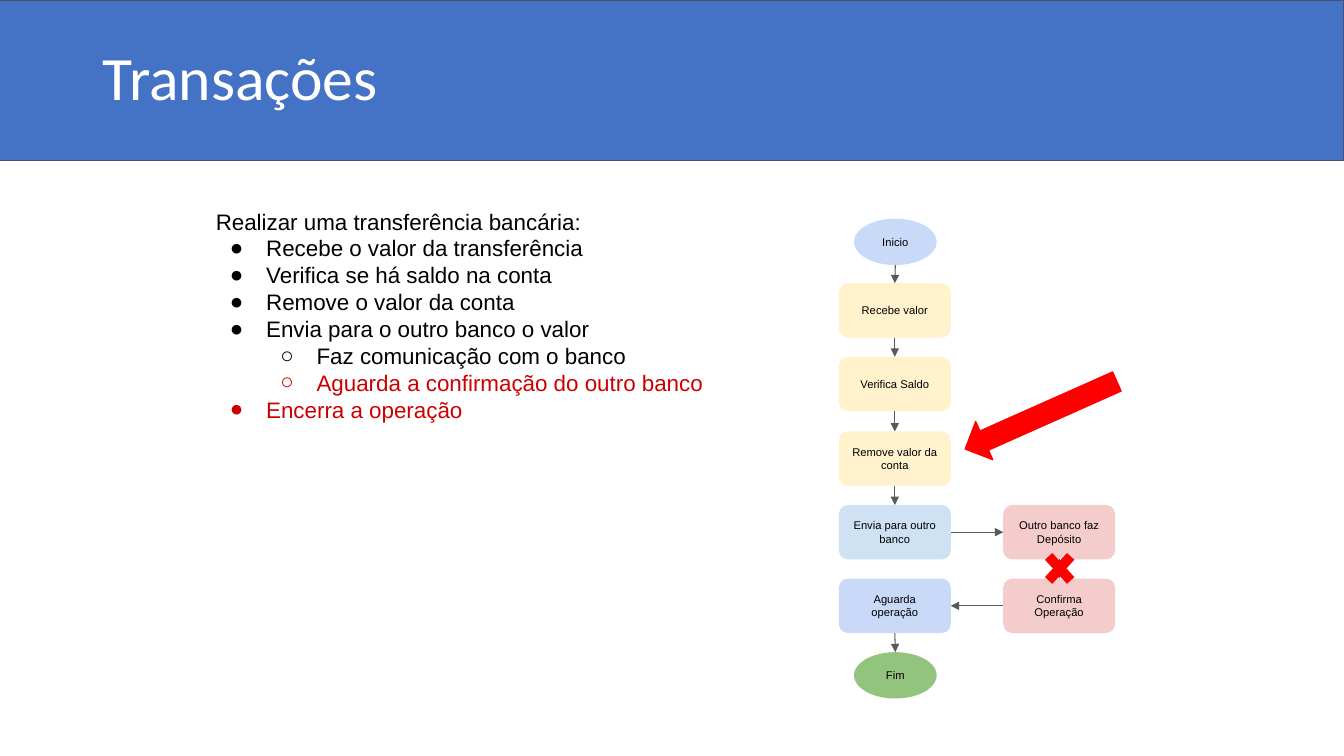
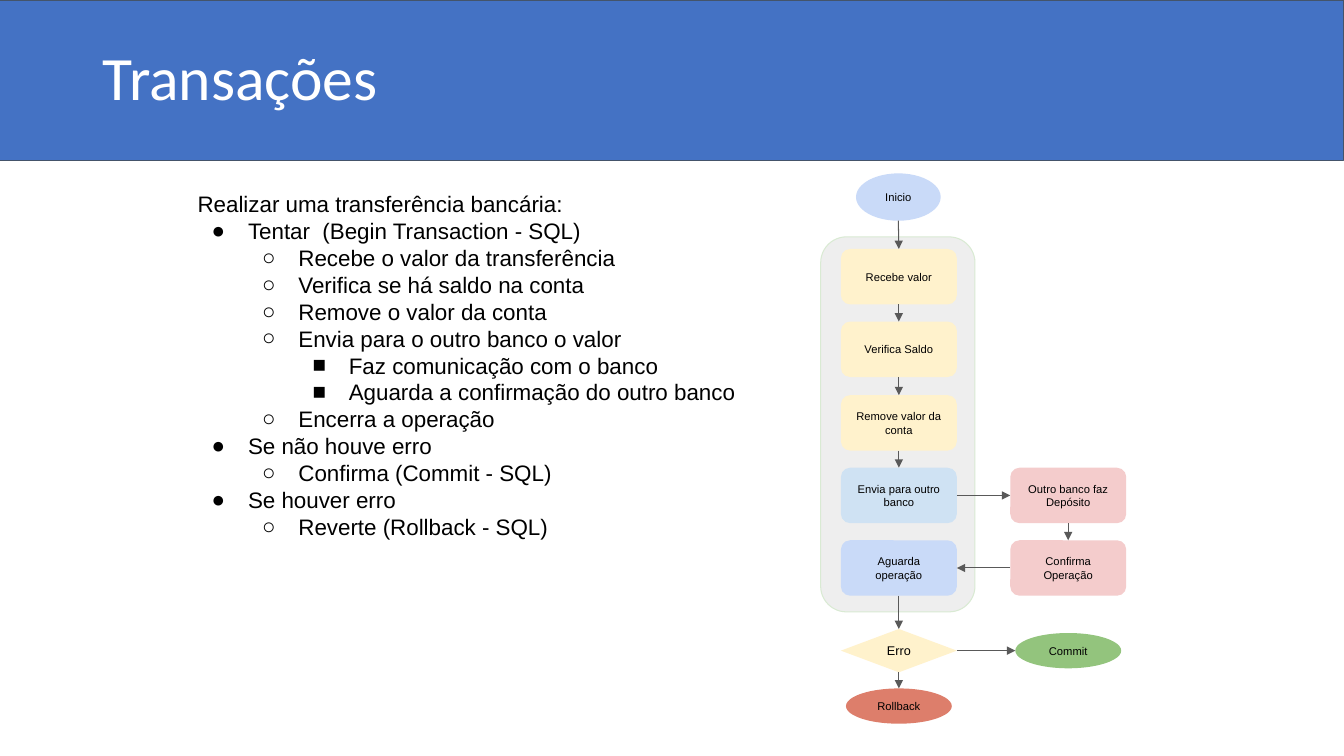
from dataclasses import dataclass

from lxml import etree
from pptx import Presentation
from pptx.dml.color import RGBColor
from pptx.enum.shapes import MSO_CONNECTOR, MSO_SHAPE
from pptx.enum.text import MSO_ANCHOR, MSO_AUTO_SIZE, PP_ALIGN
from pptx.oxml.ns import qn
from pptx.util import Pt

RECT = MSO_SHAPE.RECTANGLE
ROUND = MSO_SHAPE.ROUNDED_RECTANGLE
OVAL = MSO_SHAPE.OVAL
RHOMB = MSO_SHAPE.DIAMOND
CROSS = MSO_SHAPE.MATH_MULTIPLY
ARROW = MSO_SHAPE.LEFT_ARROW
STRAIGHT = MSO_CONNECTOR.STRAIGHT
MIDDLE, TOP = MSO_ANCHOR.MIDDLE, MSO_ANCHOR.TOP
LEFT, CENTER = PP_ALIGN.LEFT, PP_ALIGN.CENTER
FIXED = MSO_AUTO_SIZE.NONE

SCALE = 9144
SITES = [(0.5, 0), (0, 0.5), (0.5, 1), (1, 0.5)]
WAYS = {"down": (2, 0), "right": (3, 1), "left": (1, 3)}
MARKS = ["●", "○", "■"]


@dataclass(frozen=True)
class Theme:
    band: str = "4472C4"
    edge: str = "44546A"
    white: str = "FFFFFF"
    black: str = "000000"
    wire: str = "595959"
    alert: str = "CC0000"
    red: str = "FF0000"
    blue: str = "C9DAF8"
    sky: str = "CFE2F3"
    cream: str = "FFF2CC"
    pink: str = "F4CCCC"
    green: str = "93C47D"
    coral: str = "DD7E6B"
    gray: str = "EEEEEE"
    mint: str = "D9EAD3"
    head: str = "Calibri"
    text: str = "Arial"
    large: int = 44
    medium: int = 16
    label: int = 9
    small: int = 8
    line: float = 0.75


def px(count):
    return round(count * SCALE)


class Deck:
    """Holds the theme and the current slide, and draws each kind of element."""

    def __init__(self, theme):
        self.theme = theme
        self.show = Presentation()
        self.show.slide_width, self.show.slide_height = px(1333), px(750)
        self.layout = self.show.slide_layouts[1]
        self.slide = None

    def place(self, shape, area):
        shape.left, shape.top, shape.width, shape.height = map(px, area)

    def frame(self, shape, anchor, side, edge):
        frame = shape.text_frame
        frame.word_wrap = True
        frame.auto_size = FIXED
        frame.vertical_anchor = anchor
        frame.margin_left = frame.margin_right = px(side)
        frame.margin_top = frame.margin_bottom = px(edge)
        return frame

    def style(self, part, face, size, color, align):
        part.alignment = align
        for run in part.runs:
            run.font.name = face
            run.font.size = Pt(size)
            run.font.color.rgb = RGBColor.from_string(color)

    def page(self, title):
        theme = self.theme
        first = self.slide is None
        self.slide = self.show.slides.add_slide(self.layout)
        if first:
            self.band()
        shape = self.slide.shapes.title
        self.place(shape, (92, 7, 1150, 145))
        frame = self.frame(shape, MIDDLE, 10, 5)
        frame.text = title
        part = frame.paragraphs[0]
        part.line_spacing = 0.9
        self.style(part, theme.head, theme.large, theme.white, LEFT)

    def band(self):
        band = self.shape(RECT, (0, 0, 1333, 159), self.theme.band, self.theme.edge)
        band.element.nvSpPr.cNvPr.set("id", "90")
        self.layout.shapes.element.insert(2, band.element)

    def list(self, area, items):
        theme = self.theme
        shape = self.slide.placeholders[1]
        self.place(shape, area)
        frame = self.frame(shape, TOP, 10, 10)
        frame.text = "\n".join(text for _, text, _ in items)
        for part, (level, _, color) in zip(frame.paragraphs, items):
            part.level = max(level - 1, 0)
            part.line_spacing = 1.0
            part.space_before = part.space_after = Pt(0)
            self.style(part, theme.text, theme.medium, color, LEFT)
            self.mark(part, level, color)

    def mark(self, part, level, color):
        props = part._p.get_or_add_pPr()
        props.set("marL", str(px(50 * level)))
        props.set("indent", str(px(-36) if level else 0))
        if not level:
            etree.SubElement(props, qn("a:buNone"))
            return
        tint = etree.SubElement(props, qn("a:buClr"))
        etree.SubElement(tint, qn("a:srgbClr"), val=color)
        etree.SubElement(props, qn("a:buFont"), typeface=self.theme.text)
        etree.SubElement(props, qn("a:buChar"), char=MARKS[level - 1])

    def shape(self, kind, area, fill, line=None, turn=0):
        shape = self.slide.shapes.add_shape(kind, *map(px, area))
        shape.shadow.inherit = False
        shape.rotation = turn
        shape.fill.solid()
        shape.fill.fore_color.rgb = RGBColor.from_string(fill)
        if line:
            shape.line.color.rgb = RGBColor.from_string(line)
            shape.line.width = Pt(self.theme.line)
        else:
            shape.line.fill.background()
        return shape

    def node(self, kind, area, fill, text, size=None):
        theme = self.theme
        shape = self.shape(kind, area, fill)
        frame = self.frame(shape, MIDDLE, 10, 10)
        frame.text = text
        self.style(frame.paragraphs[0], theme.text, size or theme.small, theme.black, CENTER)
        return shape

    def link(self, start, end, way="down"):
        ends = list(zip((start, end), WAYS[way], ("a:stCxn", "a:endCxn")))
        spots = []
        for node, site, _ in ends:
            across, down = SITES[site]
            spots += [round(node.left + node.width * across), round(node.top + node.height * down)]
        wire = self.slide.shapes.add_connector(STRAIGHT, *spots)
        wire.line.color.rgb = RGBColor.from_string(self.theme.wire)
        wire.line.width = Pt(self.theme.line)
        props = wire.element.spPr
        etree.SubElement(props.find(qn("a:ln")), qn("a:tailEnd"), type="triangle")
        etree.SubElement(props, qn("a:effectLst"))
        for node, site, tag in ends:
            index = site * 2 if node.auto_shape_type == OVAL else site
            glue = wire.element.nvCxnSpPr.cNvCxnSpPr
            etree.SubElement(glue, qn(tag), id=str(node.shape_id), idx=str(index))

    def flow(self, start, left, right, top, last, wide, high):
        theme = self.theme
        steps = [
            ("Recebe valor", theme.cream),
            ("Verifica Saldo", theme.cream),
            ("Remove valor da conta", theme.cream),
            ("Envia para outro banco", theme.sky),
            ("Aguarda operação", theme.blue),
        ]
        rows = [round(top + (last - top) * i / 4) for i in range(5)]
        chain = [self.node(OVAL, start, theme.blue, "Inicio")]
        for row, (text, fill) in zip(rows, steps):
            chain.append(self.node(ROUND, (left, row, wide, high), fill, text))
        send, wait = chain[-2:]
        other, reply = [
            self.node(ROUND, (right, row, wide, high), theme.pink, text)
            for row, text in zip(rows[3:], ["Outro banco faz Depósito", "Confirma Operação"])
        ]
        for above, below in zip(chain[:-2], chain[1:-1]):
            self.link(above, below)
        self.link(send, other, "right")
        self.link(other, reply)
        self.link(reply, wait, "left")
        return wait


def fail(deck):
    theme = deck.theme
    black, alert = theme.black, theme.alert
    deck.page("Transações")
    deck.list((204, 196, 588, 333), [
        (0, "Realizar uma transferência bancária:", black),
        (1, "Recebe o valor da transferência", black),
        (1, "Verifica se há saldo na conta", black),
        (1, "Remove o valor da conta", black),
        (1, "Envia para o outro banco o valor", black),
        (2, "Faz comunicação com o banco", black),
        (2, "Aguarda a confirmação do outro banco", alert),
        (1, "Encerra a operação", alert),
    ])
    wait = deck.flow((847, 217, 82, 46), 832, 995, 281, 574, 111, 54)
    deck.link(wait, deck.node(OVAL, (847, 647, 82, 46), theme.green, "Fim"))
    deck.shape(CROSS, (1030, 541, 42, 46), theme.red)
    deck.shape(ARROW, (950, 391, 165, 42), theme.red, theme.red, 336)


def guard(deck):
    theme = deck.theme
    deck.page("Transações")
    items = [
        (0, "Realizar uma transferência bancária:"),
        (1, "Tentar  (Begin Transaction - SQL)"),
        (2, "Recebe o valor da transferência"),
        (2, "Verifica se há saldo na conta"),
        (2, "Remove o valor da conta"),
        (2, "Envia para o outro banco o valor"),
        (3, "Faz comunicação com o banco"),
        (3, "Aguarda a confirmação do outro banco"),
        (2, "Encerra a operação"),
        (1, "Se não houve erro"),
        (2, "Confirma (Commit - SQL)"),
        (1, "Se houver erro"),
        (2, "Reverte (Rollback - SQL)"),
    ]
    deck.list((186, 179, 606, 344), [(level, text, theme.black) for level, text in items])
    deck.shape(ROUND, (814, 235, 153, 372), theme.gray, theme.mint)
    wait = deck.flow((849, 172, 84, 47), 834, 1002, 247, 536, 115, 55)
    test = deck.node(RHOMB, (834, 624, 115, 43), theme.cream, "Erro", theme.label)
    done = deck.node(OVAL, (1007, 628, 105, 35), theme.green, "Commit")
    undo = deck.node(OVAL, (839, 683, 105, 35), theme.coral, "Rollback")
    deck.link(wait, test)
    deck.link(test, done, "right")
    deck.link(test, undo)


def main():
    deck = Deck(Theme())
    fail(deck)
    guard(deck)
    deck.show.save("out.pptx")


if __name__ == "__main__":
    main()
